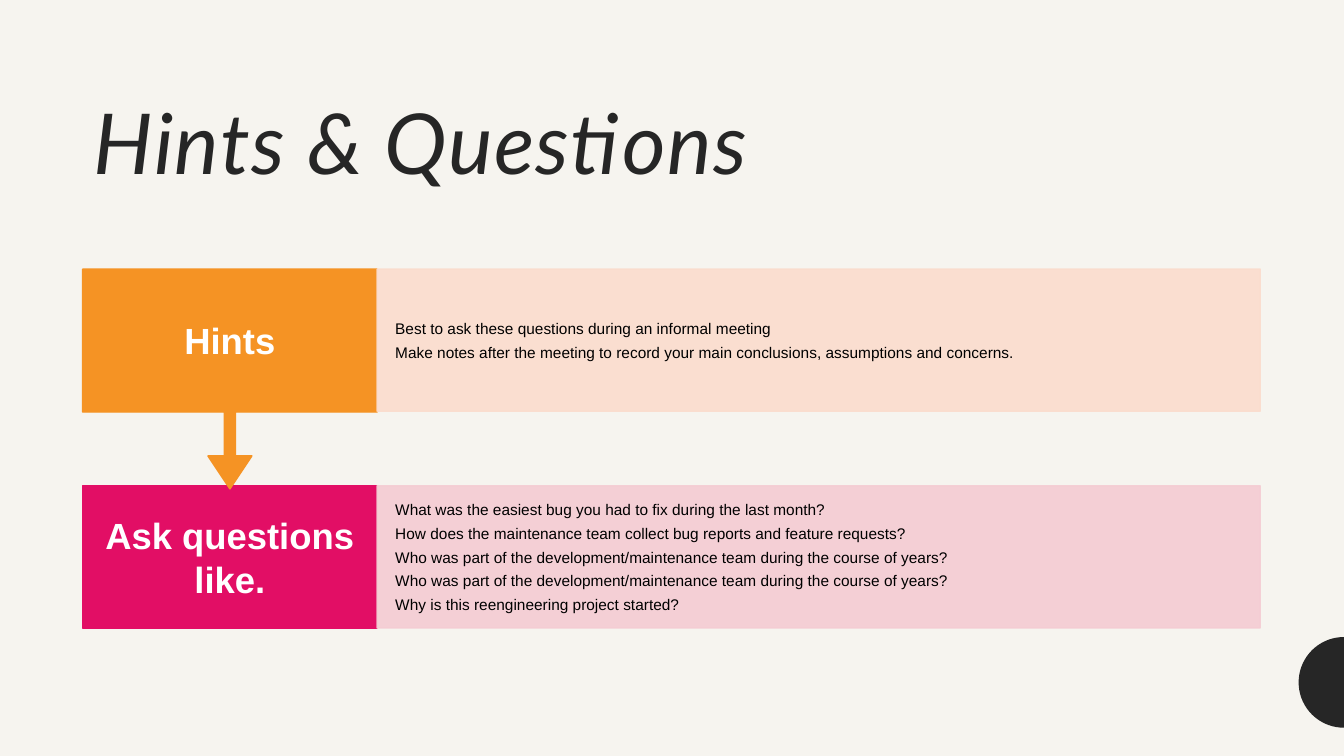
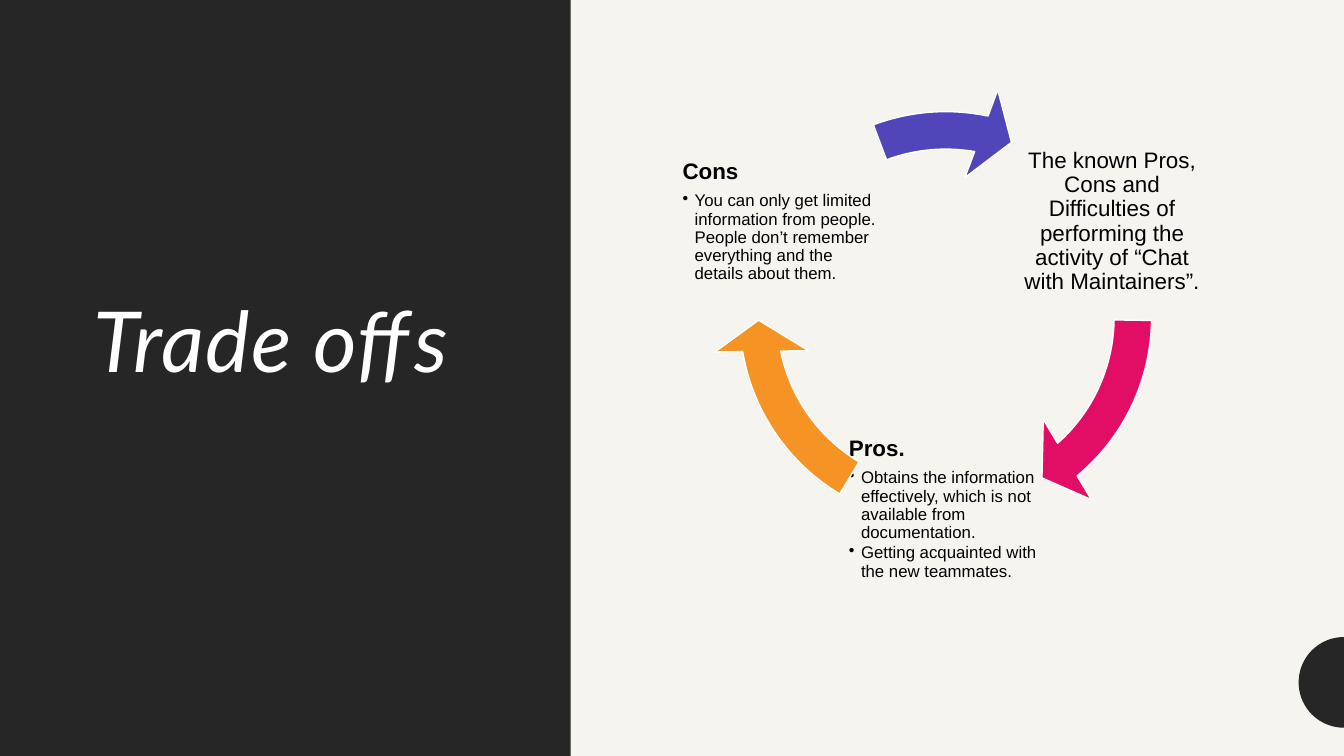
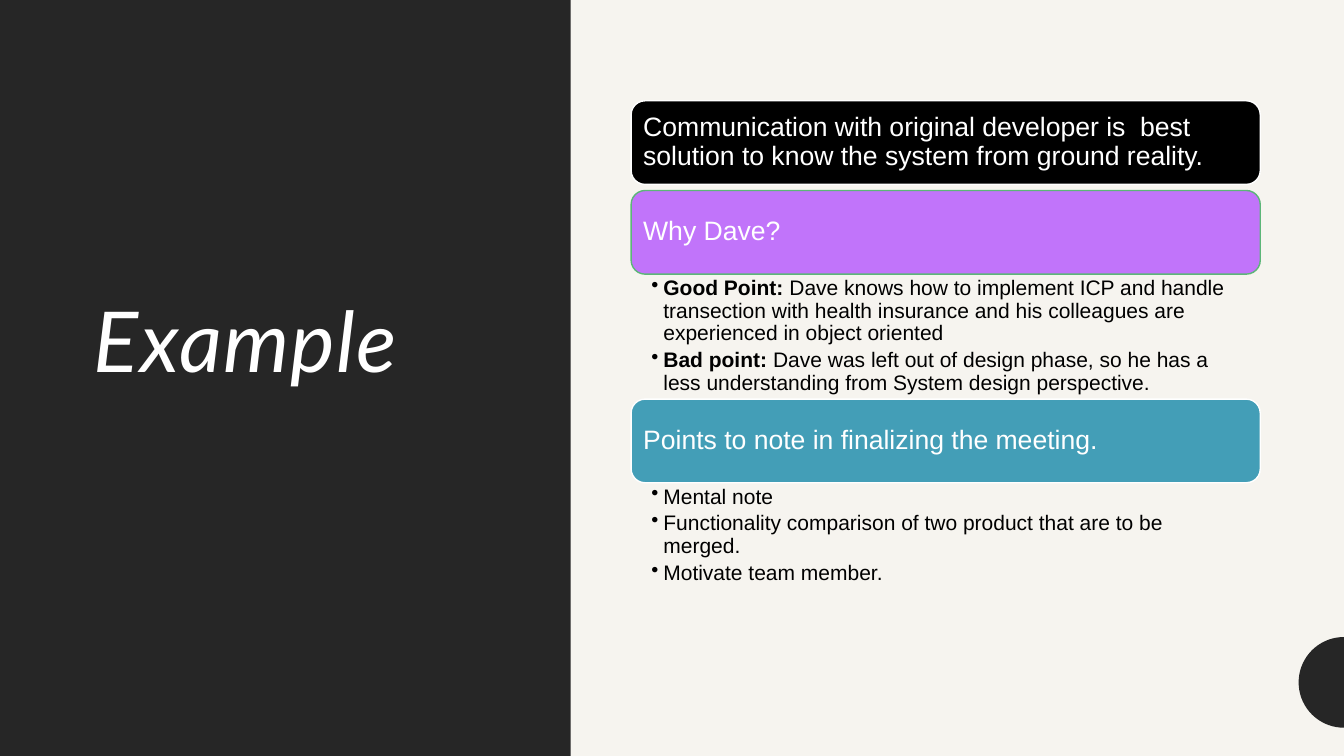
from math import cos, pi, sin

from lxml import etree
from pptx import Presentation
from pptx.dml.color import RGBColor
from pptx.enum.shapes import MSO_SHAPE
from pptx.enum.text import MSO_ANCHOR, MSO_AUTO_SIZE, PP_ALIGN
from pptx.oxml.ns import qn
from pptx.util import Emu, Inches, Pt

RECTANGLE = MSO_SHAPE.RECTANGLE
ROUNDED = MSO_SHAPE.ROUNDED_RECTANGLE
CALLOUT = MSO_SHAPE.UP_ARROW_CALLOUT
CIRCULAR_ARROW = MSO_SHAPE.CIRCULAR_ARROW
TOP, MIDDLE, BOTTOM = MSO_ANCHOR.TOP, MSO_ANCHOR.MIDDLE, MSO_ANCHOR.BOTTOM
LEFT, CENTER = PP_ALIGN.LEFT, PP_ALIGN.CENTER
NO_AUTOFIT = MSO_AUTO_SIZE.NONE

PAPER = RGBColor(0xF6, 0xF4, 0xEF)
INK = RGBColor(0x26, 0x26, 0x26)
BLACK = RGBColor(0x00, 0x00, 0x00)
WHITE = RGBColor(0xFF, 0xFF, 0xFF)
PINK = RGBColor(0xE2, 0x0E, 0x65)
PALE_PINK = RGBColor(0xF4, 0xCC, 0xD3)
ORANGE = RGBColor(0xF5, 0x93, 0x24)
PALE_ORANGE = RGBColor(0xFB, 0xDC, 0xCD)
INDIGO = RGBColor(0x50, 0x46, 0xB9)
VIOLET = RGBColor(0xC1, 0x74, 0xFA)
GREEN = RGBColor(0x5C, 0xB6, 0x78)
TEAL = RGBColor(0x43, 0x9E, 0xB7)

TITLE_FONT, BODY_FONT = "Lato", "Arial"
WIDTH, HEIGHT = 13.33, 7.5
PANEL_WIDTH = 5.66
RIGHT_EDGE = 12.5
DISC_RADIUS, DISC_MIDDLE = 0.45, 6.77


def add_block(slide, kind, box, fill, line):
    shape = slide.shapes.add_shape(kind, *map(Inches, box))
    shape.shadow.inherit = False
    shape.fill.solid()
    shape.fill.fore_color.rgb = fill
    shape.line.color.rgb = line
    shape.line.width = Pt(1)
    return shape


def write(shape, lines, colour, margins, gap, anchor=MIDDLE, align=LEFT, spacing=0.9):
    frame = shape.text_frame
    frame.word_wrap = True
    frame.auto_size = NO_AUTOFIT
    frame.vertical_anchor = anchor
    frame.margin_left, frame.margin_top, frame.margin_right, frame.margin_bottom = map(Inches, margins)
    for index, (lead, text, size, bullet) in enumerate(lines):
        paragraph = frame.add_paragraph() if index else frame.paragraphs[0]
        paragraph.alignment = align
        paragraph.line_spacing = spacing
        paragraph.space_after = Pt(round(size * (gap if not bullet else bullet), 2))
        paragraph.font.name = BODY_FONT
        paragraph.font.size = Pt(size)
        paragraph.font.color.rgb = colour
        for words, bold in ((lead, True), (text, False)):
            if words:
                run = paragraph.add_run()
                run.text = words
                run.font.bold = bold
        if bullet:
            properties = paragraph._p.get_or_add_pPr()
            properties.set("marL", str(Inches(0.12)))
            properties.set("indent", str(-Inches(0.12)))
            mark = etree.Element(qn("a:buChar"), char="•")
            properties.find(qn("a:defRPr")).addprevious(mark)


presentation = Presentation()
presentation.slide_width, presentation.slide_height = Inches(WIDTH), Inches(HEIGHT)
background = presentation.slide_master.background.fill
background.solid()
background.fore_color.rgb = PAPER
title_only = presentation.slide_layouts[5]

slides = []
for heading, has_panel in (("Hints & Questions", False), ("Trade offs", True), ("Example", True)):
    slide = presentation.slides.add_slide(title_only)
    slides.append(slide)
    title = slide.shapes.title
    box = (0.83, 0.83, 4.19, 5.2) if has_panel else (0.83, 0.46, 11.67, 1.5)
    title.left, title.top, title.width, title.height = map(Inches, box)
    title.text_frame.text = heading
    title.text_frame.auto_size = NO_AUTOFIT
    title.text_frame.vertical_anchor = MIDDLE if has_panel else BOTTOM
    paragraph = title.text_frame.paragraphs[0]
    paragraph.alignment = LEFT
    paragraph.line_spacing = 0.9
    paragraph.font.name = TITLE_FONT
    paragraph.font.size = Pt(60)
    paragraph.font.italic = True
    paragraph.font.color.rgb = WHITE if has_panel else INK
    paragraph._p.pPr.find(qn("a:defRPr")).set("spc", "100")
    if has_panel:
        panel = add_block(slide, RECTANGLE, (0, 0, PANEL_WIDTH, HEIGHT), INK, INK)
        panel.line.fill.background()
        title._element.addprevious(panel._element)
    angles = [pi / 2 + pi * step / 36 for step in range(37)]
    rim = [(Inches(WIDTH + DISC_RADIUS * cos(angle)), Inches(DISC_MIDDLE - DISC_RADIUS * sin(angle)))
           for angle in angles]
    builder = slide.shapes.build_freeform(*rim[0])
    builder.add_line_segments(rim[1:], close=True)
    disc = builder.convert_to_shape(Emu(0), Emu(0))
    disc.shadow.inherit = False
    disc.fill.solid()
    disc.fill.fore_color.rgb = INK
    disc.line.fill.background()

hints_slide, trade_slide, example_slide = slides

LABEL_LEFT, LABEL_WIDTH, ROW_HEIGHT = 0.82, 2.92, 1.41
DETAIL_LEFT = LABEL_LEFT + LABEL_WIDTH
rows = [
    (4.82, RECTANGLE, ROW_HEIGHT, "Ask questions like.", PINK, PALE_PINK, [
        "What was the easiest bug you had to fix during the last month?",
        "How does the maintenance team collect bug reports and feature requests?",
        "Who was part of the development/maintenance team during the course of years?",
        "Who was part of the development/maintenance team during the course of years?",
        "Why is this reengineering project started?",
    ]),
    (2.67, CALLOUT, 2.18, "Hints", ORANGE, PALE_ORANGE, [
        "Best to ask these questions during an informal meeting",
        "Make notes after the meeting to record your main conclusions, assumptions and concerns.",
    ]),
]
for top, kind, block_height, label, strong, pale, details in rows:
    block = add_block(hints_slide, kind, (LABEL_LEFT, top, LABEL_WIDTH, block_height), strong, strong)
    if kind == CALLOUT:
        block.rotation = 180
        for index, share in enumerate((0.05, 0.1, 0.15, 0.65)):
            block.adjustments[index] = share
    label_box = hints_slide.shapes.add_textbox(
        *map(Inches, (LABEL_LEFT, top, LABEL_WIDTH, ROW_HEIGHT)))
    write(label_box, [(label, "", 26, 0)], WHITE, (0.21, 0.2, 0.21, 0.2), 0.35,
          align=CENTER, spacing=1.0)
    detail_box = add_block(hints_slide, RECTANGLE,
                           (DETAIL_LEFT, top, RIGHT_EDGE - DETAIL_LEFT, ROW_HEIGHT), pale, pale)
    for colour in detail_box._element.spPr.iter(qn("a:srgbClr")):
        etree.SubElement(colour, qn("a:alpha"), val="90000")
    write(detail_box, [("", text, 11, 0) for text in details], BLACK,
          (0.18, 0.15, 0.18, 0.15), 0.35, spacing=1.0)

CYCLE_BOX = (7.06, 0.83, 4.64, 4.64)
NOTE_SIDE = 1.96
cycle = [
    (10.05, 1.22, CENTER, PINK, 29.66, 0.5, [
        ("", "The known Pros, Cons and Difficulties of performing the activity of “Chat with Maintainers”.", 16, 0),
    ]),
    (8.4, 4.07, LEFT, ORANGE, 101.74, 72.58, [
        ("Pros.", "", 16, 0),
        ("", "Obtains the information effectively, which is not available from documentation.", 12, 0.15),
        ("", "Getting acquainted with the new teammates.", 12, 0.15),
    ]),
    (6.75, 1.22, LEFT, INDIGO, 168.59, 149.66, [
        ("Cons", "", 16, 0),
        ("", "You can only get limited information from people. People don’t remember everything "
             "and the details about them.", 12, 0.15),
    ]),
]
for left, top, align, colour, head_angle, tail_angle, lines in cycle:
    note = trade_slide.shapes.add_textbox(*map(Inches, (left, top, NOTE_SIDE, NOTE_SIDE)))
    write(note, lines, BLACK, (0.02,) * 4, 0.35, align=align)
    arrow = add_block(trade_slide, CIRCULAR_ARROW, CYCLE_BOX, colour, WHITE)
    for index, value in enumerate((0.08, 5.76, head_angle, tail_angle, 0.1)):
        arrow.adjustments[index] = value

BAR_LEFT, BAR_HEIGHT = 6.26, 0.83
BAR_WIDTH = RIGHT_EDGE - BAR_LEFT
bars = [
    (1.0, "Communication with original developer is  best solution to know the system from ground reality.",
     BLACK, WHITE, 0, []),
    (1.89, "Why Dave?", VIOLET, GREEN, 1.25, [
        ("Good Point: ", "Dave knows how to implement ICP and handle transection with health insurance "
                         "and his colleagues are experienced in object oriented", 15, 0.2),
        ("Bad point: ", "Dave was left out of design phase, so he has a less understanding from "
                        "System design perspective.", 15, 0.2),
    ]),
    (3.96, "Points to note in finalizing the meeting.", TEAL, WHITE, 1.08, [
        ("", "Mental note", 15, 0.2),
        ("", "Functionality comparison of two product that are to be merged.", 15, 0.2),
        ("", "Motivate team member.", 15, 0.2),
    ]),
]
for top, text, fill, line, list_height, points in bars:
    bar = add_block(example_slide, ROUNDED, (BAR_LEFT, top, BAR_WIDTH, BAR_HEIGHT), fill, line)
    write(bar, [("", text, 19, 0)], WHITE, (0.08,) * 4, 0.35)
    if points:
        point_box = example_slide.shapes.add_textbox(
            *map(Inches, (BAR_LEFT, top + BAR_HEIGHT, BAR_WIDTH, list_height)))
        write(point_box, points, BLACK, (0.2, 0.03, 0.15, 0.03), 0.2, anchor=TOP)

presentation.save("out.pptx")
